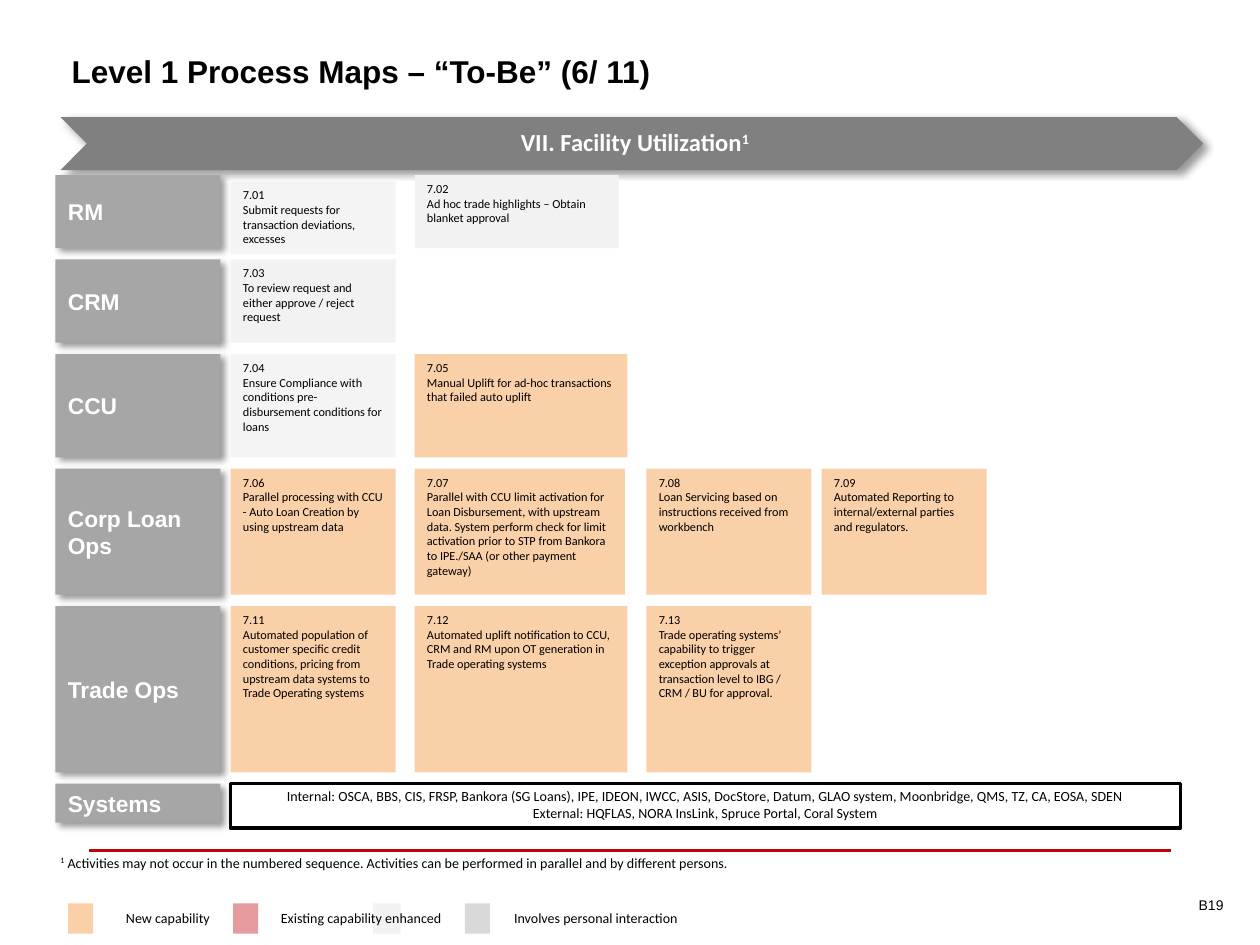
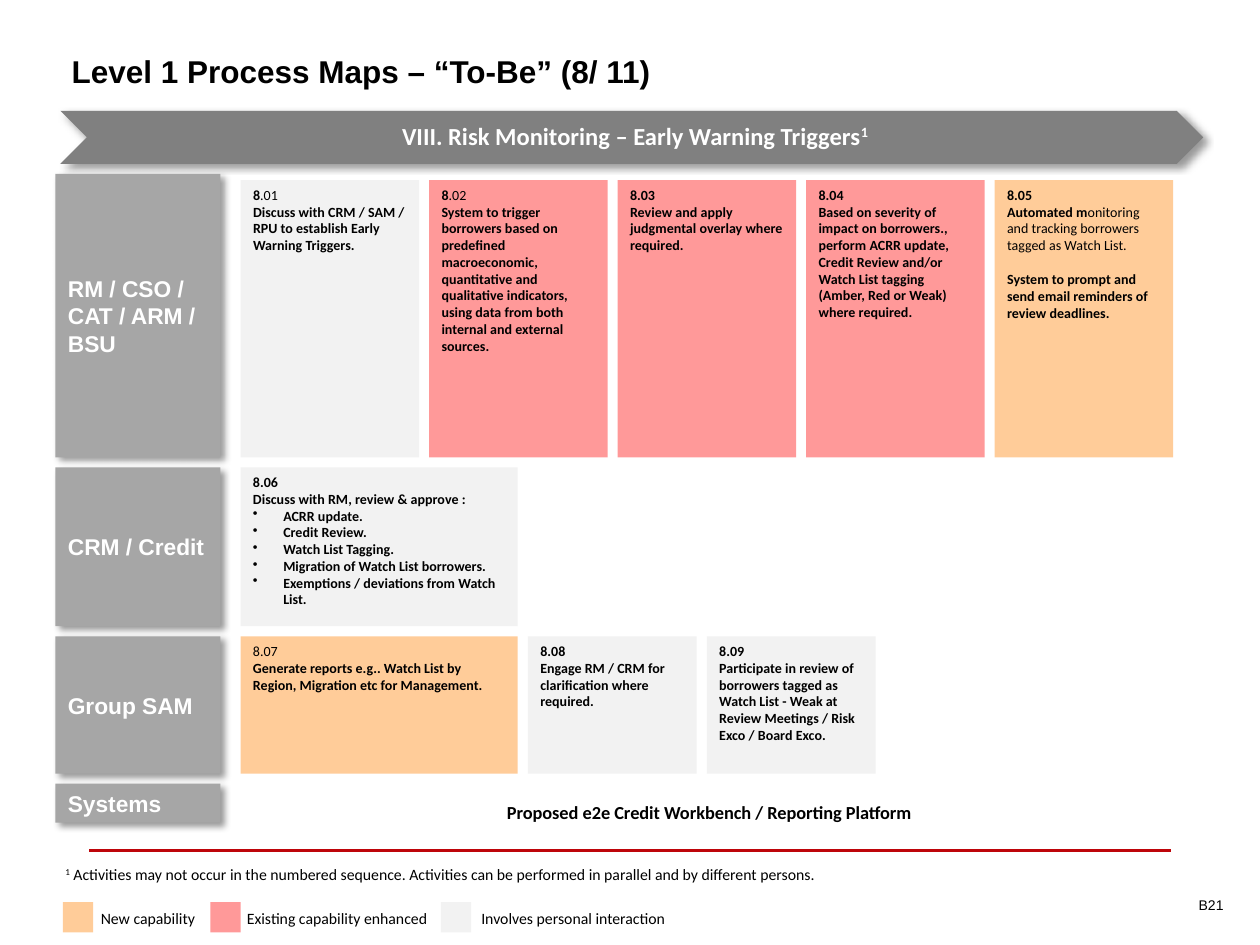
import dataclasses

import lxml.etree
import pptx
import pptx.dml.color
import pptx.enum.shapes
import pptx.enum.text
import pptx.oxml.ns
import pptx.util

SHAPE = pptx.enum.shapes.MSO_SHAPE
ALIGN = pptx.enum.text.PP_ALIGN
ANCHOR = pptx.enum.text.MSO_ANCHOR
qn = pptx.oxml.ns.qn


@dataclasses.dataclass(frozen=True)
class Theme:
    """Colours, typefaces, type sizes and the cell of the 10 by 7.5 grid."""
    black: str = "000000"
    white: str = "FFFFFF"
    banner: str = "808080"
    lane: str = "A6A6A6"
    rule: str = "BE050A"
    personal: str = "F2F2F2"
    pale: str = "F4F4F4"
    grey: str = "D9D9D9"
    peach: str = "FAD0A9"
    rose: str = "E59B9D"
    orange: str = "FFCC99"
    pink: str = "FF9999"
    heading: str = "Arial"
    body: str = "Calibri"
    title_size: float = 18
    banner_size: float = 14
    lane_size: float = 13
    platform_size: float = 10.5
    large: float = 9
    normal: float = 8
    small: float = 7
    cell: int = pptx.util.Inches(1)


THEME = Theme()
LANE_LEFT, LANE_WIDTH = 0.44, 1.31
CARD_INSETS = (0.1, 0.05, 0.1, 0.05)
LEGEND_INSETS = (0, 0.05, 0, 0.05)
SYSTEM_INSETS = (0.1, 0.03, 0.1, 0.05)
LEGEND_NAMES = ("New capability", "Existing capability enhanced", "Involves personal interaction")
FOOTNOTE = ("^1^ Activities may not occur in the numbered sequence. "
            "Activities can be performed in parallel and by different persons.")


@dataclasses.dataclass(frozen=True)
class Style:
    """How the text of a box looks."""
    size: float
    face: str = THEME.body
    color: str = THEME.black
    bold: bool = False
    align: int = ALIGN.LEFT
    anchor: int = ANCHOR.TOP
    insets: tuple = CARD_INSETS


LANE_STYLE = Style(THEME.lane_size, THEME.heading, THEME.white, True, anchor=ANCHOR.MIDDLE)
BANNER_STYLE = Style(THEME.banner_size, color=THEME.white, bold=True, align=ALIGN.CENTER,
                     anchor=ANCHOR.MIDDLE, insets=(0.06, 0.02, 0.02, 0.02))
TITLE_STYLE = Style(THEME.title_size, THEME.heading, bold=True, anchor=ANCHOR.MIDDLE)
NUMBER_STYLE = Style(THEME.normal, THEME.heading, align=ALIGN.RIGHT, anchor=ANCHOR.MIDDLE)
SYSTEM_STYLE = Style(THEME.normal, align=ALIGN.CENTER, anchor=ANCHOR.MIDDLE, insets=SYSTEM_INSETS)
PLATFORM_STYLE = dataclasses.replace(SYSTEM_STYLE, size=THEME.platform_size, bold=True)


@dataclasses.dataclass(frozen=True)
class Card:
    """One process step: its column, width, colour and paragraphs."""
    left: float
    width: float
    color: str
    lines: tuple
    drop: float = 0
    stretch: float = 0


def cells(*lengths):
    """Turn grid lengths into slide units."""
    return [round(length * THEME.cell) for length in lengths]


def rgb(color):
    """Return a colour object for a hex value."""
    return pptx.dml.color.RGBColor.from_string(color)


def add_bullet(para):
    """Give a paragraph a hanging bullet."""
    properties = para._p.get_or_add_pPr()
    indent = cells(0.24)[0]
    properties.set("marL", str(indent))
    properties.set("indent", str(-indent))
    lxml.etree.SubElement(properties, qn("a:buChar"), char="•")


def write_line(para, line, style):
    """Write a line; ^ encloses superscript, | starts plain, • a bullet and ¶ a gap."""
    if line.startswith("•"):
        add_bullet(para)
    if line.startswith("¶"):
        para.space_before = pptx.util.Pt(10)
    para.alignment = style.align
    font = para.font
    font.name, font.size, font.bold = style.face, pptx.util.Pt(style.size), style.bold
    font.color.rgb = rgb(style.color)
    for order, part in enumerate(line.lstrip("•¶").split("^")):
        for plain, piece in enumerate(part.split("|")):
            if not piece:
                continue
            span = para.add_run()
            span.text = piece
            if plain:
                span.font.bold = False
            if order % 2:
                span._r.get_or_add_rPr().set("baseline", "30000")


def fill_text(box, lines, style):
    """Lay out paragraphs in a box."""
    frame = box.text_frame
    frame.word_wrap = True
    frame.vertical_anchor = style.anchor
    (frame.margin_left, frame.margin_top,
     frame.margin_right, frame.margin_bottom) = cells(*style.insets)
    for order, line in enumerate(lines):
        para = frame.add_paragraph() if order else frame.paragraphs[0]
        write_line(para, line, style)


def add_text(page, place, line, style):
    """Add a text box with one paragraph."""
    box = page.shapes.add_textbox(*cells(*place))
    fill_text(box, [line], style)
    return box


def add_block(page, place, color=None, lines=(), style=None, kind=SHAPE.RECTANGLE):
    """Add a flat shape without an outline."""
    box = page.shapes.add_shape(kind, *cells(*place))
    box.shadow.inherit = False
    box.line.fill.background()
    if color:
        box.fill.solid()
        box.fill.fore_color.rgb = rgb(color)
    else:
        box.fill.background()
    if lines:
        fill_text(box, lines, style)
    return box


def cast_shadow(box):
    """Give a shape a soft shadow to the lower right."""
    effects = box._element.spPr.find(qn("a:effectLst"))
    shadow = lxml.etree.SubElement(
        effects, qn("a:outerShdw"), blurRad=str(pptx.util.Pt(4)), dist=str(pptx.util.Pt(3)),
        dir="2700000", algn="tl", rotWithShape="0")
    color = lxml.etree.SubElement(shadow, qn("a:srgbClr"), val=THEME.black)
    lxml.etree.SubElement(color, qn("a:alpha"), val="40000")


def add_banner(page, top, heading):
    """Add the chevron band with its heading."""
    cast_shadow(add_block(page, (0.48, top, 9.07, 0.42), THEME.banner, kind=SHAPE.CHEVRON))
    box = add_text(page, (0.69, top, 8.66, 0.42), heading, BANNER_STYLE)
    box.text_frame.paragraphs[0].line_spacing = 0.9


def add_lanes(page, top, gap, lanes, card_style):
    """Stack lane labels downwards and place the cards of each lane."""
    for name, height, cards in lanes:
        label = add_block(page, (LANE_LEFT, top, LANE_WIDTH, height),
                          THEME.lane, [name], LANE_STYLE)
        cast_shadow(label)
        for card in cards:
            place = (card.left, top + card.drop, card.width, height + card.stretch)
            add_block(page, place, card.color, card.lines, card_style)
        top += height + gap


def add_legend(page, top, swatches, label_lefts, style):
    """Add the colour swatches, then their names."""
    for left, width, color in swatches:
        add_block(page, (left, top, width, 0.24), color)
    for left, name in zip(label_lefts, LEGEND_NAMES):
        add_text(page, (left, top, 1.6, 0.25), name, style)


def add_frame(page, title, number):
    """Add the title, the footer rule and the page number."""
    add_text(page, (0.47, 0.24, 9.07, 0.65), title, TITLE_STYLE)
    rule = page.shapes.add_connector(
        pptx.enum.shapes.MSO_CONNECTOR.STRAIGHT, *cells(0.71, 6.75, 9.29, 6.75))
    rule.line.color.rgb = rgb(THEME.rule)
    rule.line.width = pptx.util.Pt(1.5)
    lxml.etree.SubElement(rule._element.spPr, qn("a:effectLst"))
    add_text(page, (8.64, 6.97, 1.17, 0.42), number, NUMBER_STYLE)


def build_utilization(page):
    """Build the facility utilization map."""
    first, second, third, fourth = 1.83, 3.29, 5.13, 6.52
    narrow, wide = 1.31, 1.69
    lanes = [
        ("RM", 0.58, [
            Card(first, narrow, THEME.pale,
                 ("7.01", "Submit requests for transaction deviations, excesses"), drop=0.05),
            Card(second, 1.62, THEME.personal,
                 ("7.02", "Ad hoc trade highlights – Obtain blanket approval"))]),
        ("CRM", 0.66, [
            Card(first, narrow, THEME.personal,
                 ("7.03", "To review request and either approve / reject request"))]),
        ("CCU", 0.82, [
            Card(first, narrow, THEME.pale,
                 ("7.04", "Ensure Compliance with conditions pre-disbursement conditions for loans")),
            Card(second, wide, THEME.peach,
                 ("7.05", "Manual Uplift for ad-hoc transactions that failed auto uplift"))]),
        ("Corp Loan Ops", 1, [
            Card(first, narrow, THEME.peach,
                 ("7.06", "Parallel processing with CCU - Auto Loan Creation by using upstream data")),
            Card(second, 1.67, THEME.peach,
                 ("7.07", "Parallel with CCU limit activation for Loan Disbursement, with upstream "
                  "data. System perform check for limit activation prior to STP from Bankora "
                  "to IPE./SAA (or other payment gateway)")),
            Card(third, narrow, THEME.peach,
                 ("7.08", "Loan Servicing based on instructions received from workbench")),
            Card(fourth, narrow, THEME.peach,
                 ("7.09", "Automated Reporting to internal/external parties and regulators."))]),
        ("Trade Ops", 1.32, [
            Card(first, narrow, THEME.peach,
                 ("7.11", "Automated population of customer specific credit conditions, pricing "
                  "from upstream data systems to Trade Operating systems")),
            Card(second, wide, THEME.peach,
                 ("7.12", "Automated uplift notification to CCU, CRM and RM upon OT generation "
                  "in Trade operating systems")),
            Card(third, narrow, THEME.peach,
                 ("7.13", "Trade operating systems’ capability to trigger exception approvals "
                  "at transaction level to IBG / CRM / BU for approval."))]),
        ("Systems", 0.31, []),
    ]
    add_banner(page, 0.93, "VII. Facility Utilization^1^")
    add_lanes(page, 1.39, 0.09, lanes, Style(THEME.small))
    systems = add_block(page, (first, 6.22, 7.54, 0.35), None, (
        "Internal: OSCA, BBS, CIS, FRSP, Bankora (SG Loans), IPE, IDEON, IWCC, ASIS, DocStore, "
        "Datum, GLAO system, Moonbridge, QMS, TZ, CA, EOSA, SDEN",
        "External: HQFLAS, NORA InsLink, Spruce Portal, Coral System"), SYSTEM_STYLE)
    systems.line.color.rgb = rgb(THEME.black)
    systems.line.width = pptx.util.Pt(2)
    add_text(page, (0.38, 6.73, 5.81, 0.24), FOOTNOTE, Style(THEME.normal))
    swatches = [(0.54, 0.2, THEME.peach), (1.85, 0.2, THEME.rose),
                (2.96, 0.22, THEME.personal), (3.69, 0.2, THEME.grey)]
    add_legend(page, 7.17, swatches, (1, 2.23, 4.08), Style(THEME.normal, insets=LEGEND_INSETS))


def build_monitoring(page):
    """Build the risk monitoring map."""
    left, gap, span = 1.91, 0.08, 7.4
    width = (span - 4 * gap) / 5
    wide, narrow = 2.2, 1.34
    triggers = [
        (THEME.personal, ("8|.01", "Discuss with CRM / SAM / RPU to establish Early Warning Triggers.")),
        (THEME.pink, ("8|.02", "System to trigger borrowers based on predefined macroeconomic, "
                      "quantitative and qualitative indicators, using data from both internal "
                      "and external sources.")),
        (THEME.pink, ("8.03", "Review and apply judgmental overlay where required.")),
        (THEME.pink, ("8.04", "Based on severity of impact on borrowers., perform ACRR update, Credit "
                      "Review and/or Watch List tagging (Amber, Red or Weak) where required.")),
        (THEME.orange, ("8.05", "Automated m|onitoring and tracking borrowers tagged as Watch List.",
                        "¶System to prompt and send email reminders of review deadlines.")),
    ]
    lanes = [
        ("RM / CSO / CAT / ARM / BSU", 2.25, [
            Card(left + order * (width + gap), width, color, lines, 0.05, -0.05)
            for order, (color, lines) in enumerate(triggers)]),
        ("CRM / Credit", 1.26, [
            Card(left, wide, THEME.personal,
                 ("8.06", "Discuss with RM, review & approve :", "•ACRR update.", "•Credit Review.",
                  "•Watch List Tagging.", "•Migration of Watch List borrowers.",
                  "•Exemptions / deviations from Watch List."))]),
        ("Group SAM", 1.09, [
            Card(left, wide, THEME.orange,
                 ("|8.07", "Generate reports e.g.. Watch List by Region, Migration etc for Management.")),
            Card(left + wide + gap, narrow, THEME.personal,
                 ("8.08", "Engage RM / CRM for clarification where required.")),
            Card(left + wide + narrow + 2 * gap, narrow, THEME.personal,
                 ("8.09", "Participate in review of borrowers tagged as Watch List - Weak at "
                  "Review Meetings / Risk Exco / Board Exco."))]),
        ("Systems", 0.31, []),
    ]
    add_banner(page, 0.88, "VIII. Risk Monitoring – Early Warning Triggers^1^")
    add_lanes(page, 1.38, gap, lanes, Style(THEME.normal, bold=True))
    add_text(page, (left, 6.28, 7.44, 0.35),
             "Proposed e2e Credit Workbench / Reporting Platform", PLATFORM_STYLE)
    add_text(page, (0.42, 6.81, 7.58, 0.25), FOOTNOTE, Style(THEME.large))
    swatches = [(0.5, 0.24, THEME.orange), (1.67, 0.24, THEME.pink), (3.5, 0.24, THEME.personal)]
    add_legend(page, 7.16, swatches, (0.8, 1.96, 3.82), Style(THEME.large, insets=LEGEND_INSETS))


def main():
    """Build both process maps and save the deck."""
    deck = pptx.Presentation()
    deck.slide_width, deck.slide_height = cells(10, 7.5)
    pages = [(build_utilization, "6", "B19"), (build_monitoring, "8", "B21")]
    for build, part, number in pages:
        page = deck.slides.add_slide(deck.slide_layouts[6])
        build(page)
        add_frame(page, f"Level 1 Process Maps – “To-Be” ({part}/ 11)", number)
    deck.save("out.pptx")


if __name__ == "__main__":
    main()
